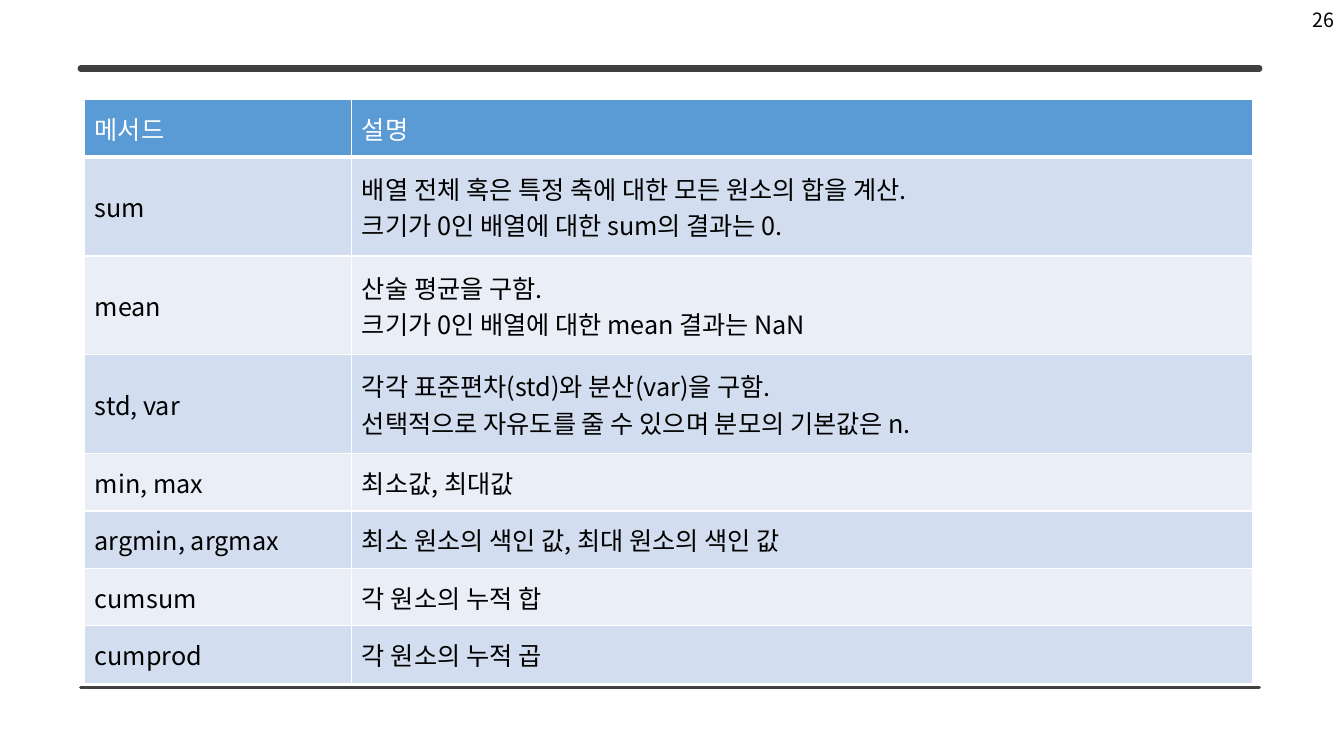
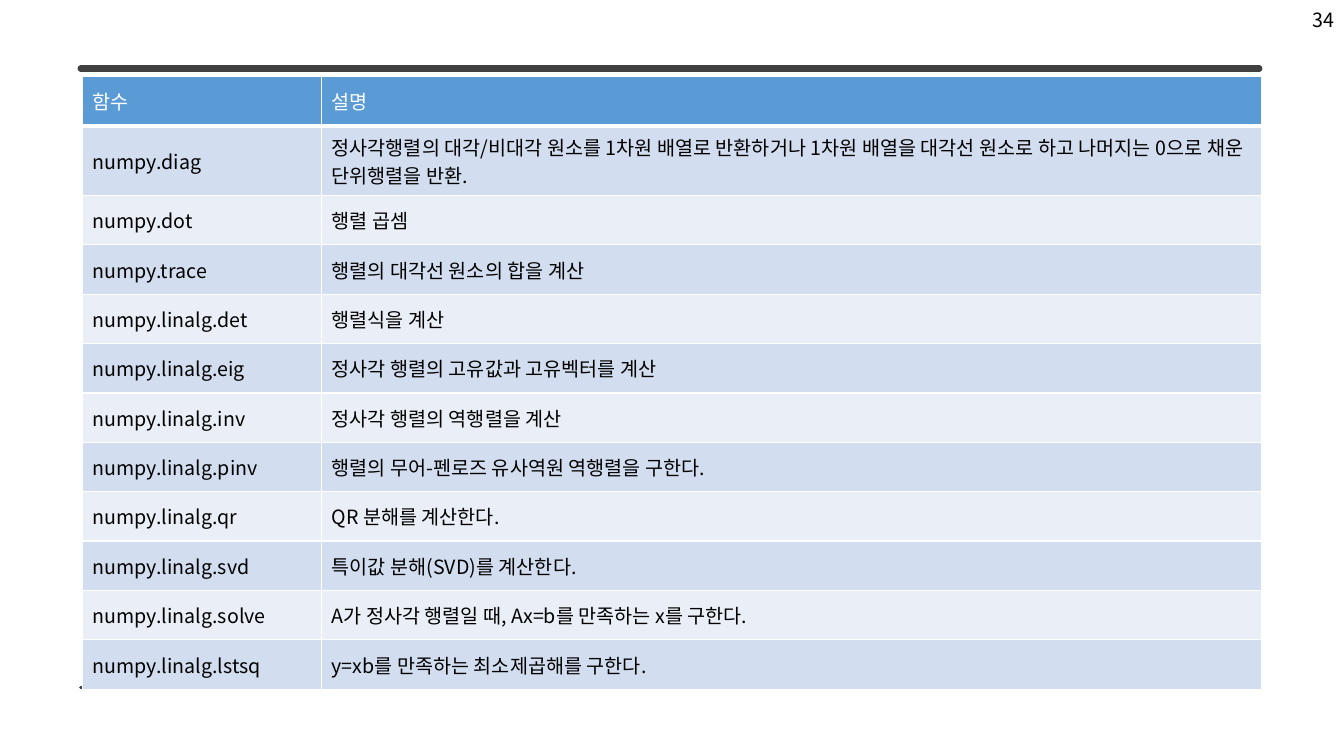
from lxml import etree
from pptx import Presentation
from pptx.dml.color import RGBColor
from pptx.enum.shapes import MSO_CONNECTOR
from pptx.enum.text import MSO_ANCHOR, PP_ALIGN
from pptx.oxml.ns import qn
from pptx.util import Inches, Pt

STRAIGHT = MSO_CONNECTOR.STRAIGHT
MIDDLE = MSO_ANCHOR.MIDDLE
RIGHT = PP_ALIGN.RIGHT

FONT = "Noto Sans CJK KR"
BLACK, WHITE, RULE_GRAY = "000000", "FFFFFF", "404040"
HEADER_FILL = "5B9BD5"
BAND_FILLS = ("D2DEEF", "EAEFF7")
SLIDE_WIDTH, SLIDE_HEIGHT = 13.33, 7.5
RULE_LEFT, RULE_RIGHT = 0.8, 12.49
RULES = ((6.82, 2.25), (0.68, 4.5))  # height on the slide, line width


def color(hex_string):
    return RGBColor.from_string(hex_string)


def add_run(paragraph, text, size, hex_color):
    run = paragraph.add_run()
    run.text = text
    run.font.size = Pt(size)
    run.font.bold = False
    run.font.color.rgb = color(hex_color)
    run.font.name = FONT
    latin = run.font._element.find(qn("a:latin"))
    east_asian = etree.Element(qn("a:ea"), typeface=FONT)
    latin.addnext(east_asian)


# Frame: the two rules and the page number
def add_rule(slide, top, width):
    rule = slide.shapes.add_connector(
        STRAIGHT, Inches(RULE_LEFT), Inches(top), Inches(RULE_RIGHT), Inches(top))
    rule.line.color.rgb = color(RULE_GRAY)
    rule.line.width = Pt(width)
    rule.line._get_or_add_ln().set("cap", "rnd")
    etree.SubElement(rule._element.spPr, qn("a:effectLst"))


def add_page_number(slide, number, width=3, height=0.4):
    box = slide.shapes.add_textbox(
        Inches(SLIDE_WIDTH - width), 0, Inches(width), Inches(height))
    frame = box.text_frame
    frame.word_wrap = True
    frame.vertical_anchor = MIDDLE
    paragraph = frame.paragraphs[0]
    paragraph.alignment = RIGHT
    add_run(paragraph, str(number), 14, BLACK)


# Table cells
def add_borders(cell, bottom_width):
    properties = cell._tc.get_or_add_tcPr()
    for side, width in (("L", 1), ("R", 1), ("T", 1), ("B", bottom_width)):
        border = etree.SubElement(properties, qn(f"a:ln{side}"), w=str(Pt(width)))
        fill = etree.SubElement(border, qn("a:solidFill"))
        etree.SubElement(fill, qn("a:srgbClr"), val=WHITE)


def fill_cell(cell, text, size, is_header, band):
    add_borders(cell, 3 if is_header else 1)
    cell.fill.solid()
    cell.fill.fore_color.rgb = color(HEADER_FILL if is_header else band)
    cell.vertical_anchor = MIDDLE
    frame = cell.text_frame
    for index, line in enumerate(text.split("\n")):
        paragraph = frame.add_paragraph() if index else frame.paragraphs[0]
        add_run(paragraph, line, size, WHITE if is_header else BLACK)


def add_banded_table(slide, left, top, column_widths, row_heights, rows, size):
    table = slide.shapes.add_table(
        len(rows), len(column_widths), Inches(left), Inches(top),
        Inches(sum(column_widths)), Inches(sum(row_heights))).table
    for column, width in zip(table.columns, column_widths):
        column.width = Inches(width)
    for row_index, (texts, height) in enumerate(zip(rows, row_heights)):
        table.rows[row_index].height = Inches(height)
        band = BAND_FILLS[(row_index - 1) % 2]
        for column_index, text in enumerate(texts):
            fill_cell(table.cell(row_index, column_index), text, size,
                      row_index == 0, band)


def add_table_slide(presentation, number, **table):
    slide = presentation.slides.add_slide(presentation.slide_layouts[6])
    for top, width in RULES:
        add_rule(slide, top, width)
    add_page_number(slide, number)
    add_banded_table(slide, **table)


METHODS = [
    ("메서드", "설명"),
    ("sum", "배열 전체 혹은 특정 축에 대한 모든 원소의 합을 계산.\n"
            "크기가 0인 배열에 대한 sum의 결과는 0."),
    ("mean", "산술 평균을 구함.\n크기가 0인 배열에 대한 mean 결과는 NaN"),
    ("std, var", "각각 표준편차(std)와 분산(var)을 구함.\n"
                 "선택적으로 자유도를 줄 수 있으며 분모의 기본값은 n."),
    ("min, max", "최소값, 최대값"),
    ("argmin, argmax", "최소 원소의 색인 값, 최대 원소의 색인 값"),
    ("cumsum", "각 원소의 누적 합"),
    ("cumprod", "각 원소의 누적 곱"),
]

FUNCTIONS = [
    ("함수", "설명"),
    ("numpy.diag", "정사각행렬의 대각/비대각 원소를 1차원 배열로 반환하거나 1차원 배열을 "
                   "대각선 원소로 하고 나머지는 0으로 채운 단위행렬을 반환."),
    ("numpy.dot", "행렬 곱셈"),
    ("numpy.trace", "행렬의 대각선 원소의 합을 계산"),
    ("numpy.linalg.det", "행렬식을 계산"),
    ("numpy.linalg.eig", "정사각 행렬의 고유값과 고유벡터를 계산"),
    ("numpy.linalg.inv", "정사각 행렬의 역행렬을 계산"),
    ("numpy.linalg.pinv", "행렬의 무어-펜로즈 유사역원 역행렬을 구한다."),
    ("numpy.linalg.qr", "QR 분해를 계산한다."),
    ("numpy.linalg.svd", "특이값 분해(SVD)를 계산한다."),
    ("numpy.linalg.solve", "A가 정사각 행렬일 때, Ax=b를 만족하는 x를 구한다."),
    ("numpy.linalg.lstsq", "y=xb를 만족하는 최소제곱해를 구한다."),
]

presentation = Presentation()
presentation.slide_width = Inches(SLIDE_WIDTH)
presentation.slide_height = Inches(SLIDE_HEIGHT)

add_table_slide(presentation, 26, left=0.84, top=0.99, column_widths=(2.65, 8.93),
                row_heights=[0.57] + [0.98] * 3 + [0.57] * 4, rows=METHODS, size=18)
add_table_slide(presentation, 34, left=0.82, top=0.76, column_widths=(2.37, 9.32),
                row_heights=[0.49, 0.69] + [0.49] * 10, rows=FUNCTIONS, size=14)

presentation.save("out.pptx")
